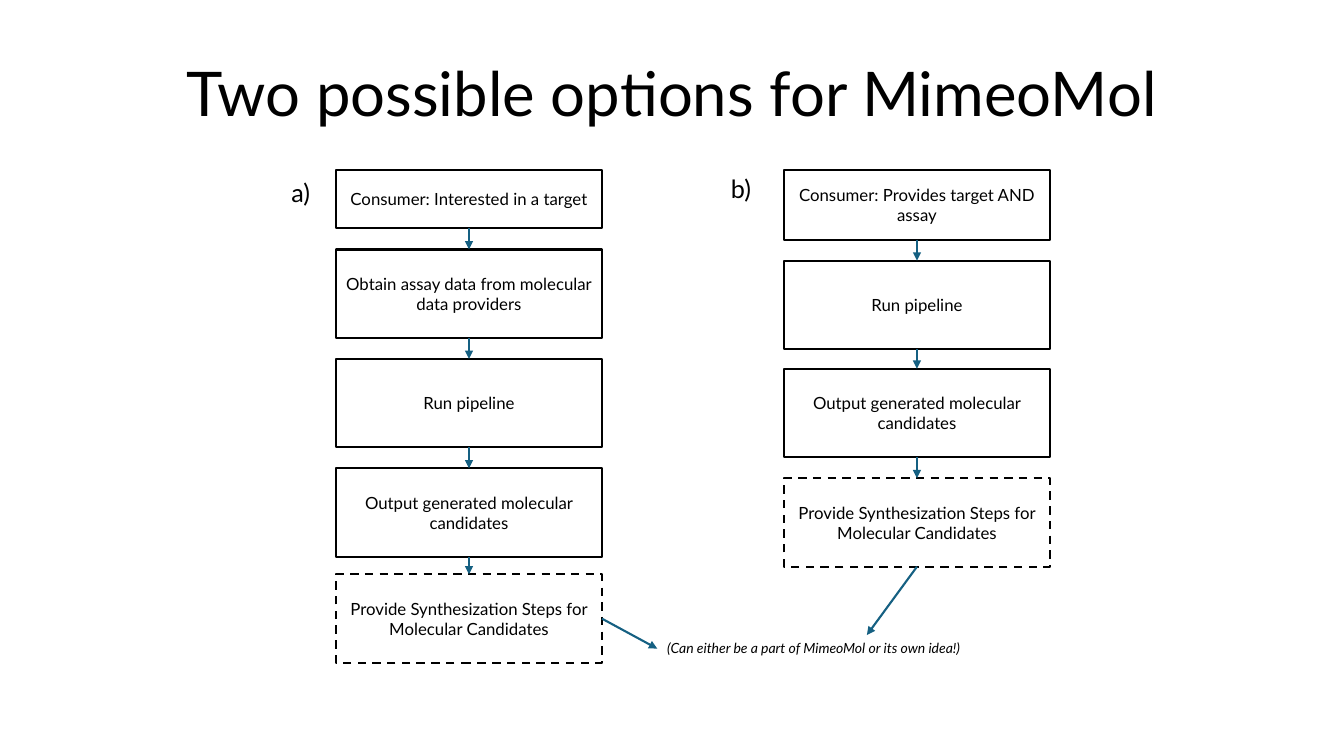
from dataclasses import dataclass

from lxml import etree
from pptx import Presentation
from pptx.dml.color import RGBColor
from pptx.enum.dml import MSO_LINE
from pptx.enum.shapes import MSO_CONNECTOR, MSO_SHAPE
from pptx.enum.text import MSO_ANCHOR, MSO_AUTO_SIZE, PP_ALIGN
from pptx.oxml.ns import qn
from pptx.util import Pt

RECTANGLE = MSO_SHAPE.RECTANGLE
STRAIGHT = MSO_CONNECTOR.STRAIGHT
DASH = MSO_LINE.DASH
TOP, MIDDLE = MSO_ANCHOR.TOP, MSO_ANCHOR.MIDDLE
LEFT, CENTER = PP_ALIGN.LEFT, PP_ALIGN.CENTER
GROW = MSO_AUTO_SIZE.SHAPE_TO_FIT_TEXT
SIDE_TOP, SIDE_LEFT, SIDE_BOTTOM, SIDE_RIGHT = range(4)


@dataclass(frozen=True)
class Theme:
    font: str = "Lato"
    ink: RGBColor = RGBColor(0x00, 0x00, 0x00)
    paper: RGBColor = RGBColor(0xFF, 0xFF, 0xFF)
    arrow: RGBColor = RGBColor(0x15, 0x60, 0x82)
    title_size: float = 44
    label_size: float = 18
    step_size: float = 12
    note_size: float = 10
    line_width: float = 1.5


def write_text(frame, text, *, theme, size, align=LEFT, anchor=TOP,
               italic=False, spacing=None):
    frame.word_wrap = True
    frame.vertical_anchor = anchor
    paragraph = frame.paragraphs[0]
    paragraph.alignment = align
    paragraph.line_spacing = spacing
    run = paragraph.add_run()
    run.text = text
    run.font.name = theme.font
    run.font.size = Pt(size)
    run.font.italic = italic
    run.font.color.rgb = theme.ink


class FlowSlide:
    def __init__(self, slide, theme):
        self.slide = slide
        self.theme = theme

    def text(self, text, left, top, width, height, grow=True, **text_format):
        box = self.slide.shapes.add_textbox(
            Pt(left), Pt(top), Pt(width), Pt(height))
        write_text(box.text_frame, text, theme=self.theme, **text_format)
        if grow:
            box.text_frame.auto_size = GROW
        return box

    def step(self, text, left, top, width, height, dashed=False):
        box = self.slide.shapes.add_shape(
            RECTANGLE, Pt(left), Pt(top), Pt(width), Pt(height))
        box.shadow.inherit = False
        box.fill.solid()
        box.fill.fore_color.rgb = self.theme.paper
        box.line.color.rgb = self.theme.ink
        box.line.width = Pt(self.theme.line_width)
        if dashed:
            box.line.dash_style = DASH
        write_text(box.text_frame, text, theme=self.theme,
                   size=self.theme.step_size, align=CENTER, anchor=MIDDLE)
        return box

    def arrow(self, source, source_side, target=None, target_side=None,
              end=(0, 0)):
        """Point from a side of source to a side of target, or to end."""
        line = self.slide.shapes.add_connector(
            STRAIGHT, 0, 0, Pt(end[0]), Pt(end[1]))
        line.begin_connect(source, source_side)
        if target is not None:
            line.end_connect(target, target_side)
        line.line.color.rgb = self.theme.arrow
        line.line.width = Pt(self.theme.line_width)
        properties = line.line._get_or_add_ln()
        etree.SubElement(properties, qn("a:tailEnd"), type="triangle")
        etree.SubElement(line._element.spPr, qn("a:effectLst"))

    def flow(self, steps, left, top, width, first_height, height, gaps):
        """Stack the steps, join them with arrows, return the last one."""
        previous = None
        for index, text in enumerate(steps):
            box_height = height if index else first_height
            box = self.step(text, left, top, width, box_height,
                            dashed=index == len(steps) - 1)
            if previous is not None:
                self.arrow(previous, SIDE_BOTTOM, box, SIDE_TOP)
            if index < len(gaps):
                top += box_height + gaps[index]
            previous = box
        return previous


def main():
    theme = Theme()
    presentation = Presentation()
    presentation.slide_width, presentation.slide_height = Pt(960), Pt(540)
    page = FlowSlide(
        presentation.slides.add_slide(presentation.slide_layouts[6]), theme)

    # Title
    page.text("Two possible options for MimeoMol", 66, 16.5, 828, 104.4,
              grow=False, size=theme.title_size, align=CENTER, anchor=MIDDLE,
              spacing=0.9)

    # Option labels and shared note
    page.text("a)", 201, 123, 30, 29, size=theme.label_size)
    page.text("b)", 515, 120, 30, 29, size=theme.label_size)
    note = page.text("(Can either be a part of MimeoMol or its own idea!)",
                     469.5, 453.6, 231, 19.4, size=theme.note_size,
                     italic=True)

    # Both options end with the same three steps
    shared_steps = [
        "Run pipeline",
        "Output generated molecular candidates",
        "Provide Synthesization Steps for Molecular Candidates",
    ]
    column = {"top": 121.2, "width": 190, "height": 63.2}
    synthesis_a = page.flow(
        ["Consumer: Interested in a target",
         "Obtain assay data from molecular data providers", *shared_steps],
        left=240, first_height=42, gaps=[15, 15, 15, 12.5], **column)
    synthesis_b = page.flow(
        ["Consumer: Provides target AND assay", *shared_steps],
        left=560, first_height=50, gaps=[15, 14, 15], **column)

    # Arrows to the note
    page.arrow(synthesis_a, SIDE_RIGHT, note, SIDE_LEFT)
    page.arrow(synthesis_b, SIDE_BOTTOM, end=(619.2, 453.6))

    presentation.save("out.pptx")


if __name__ == "__main__":
    main()
